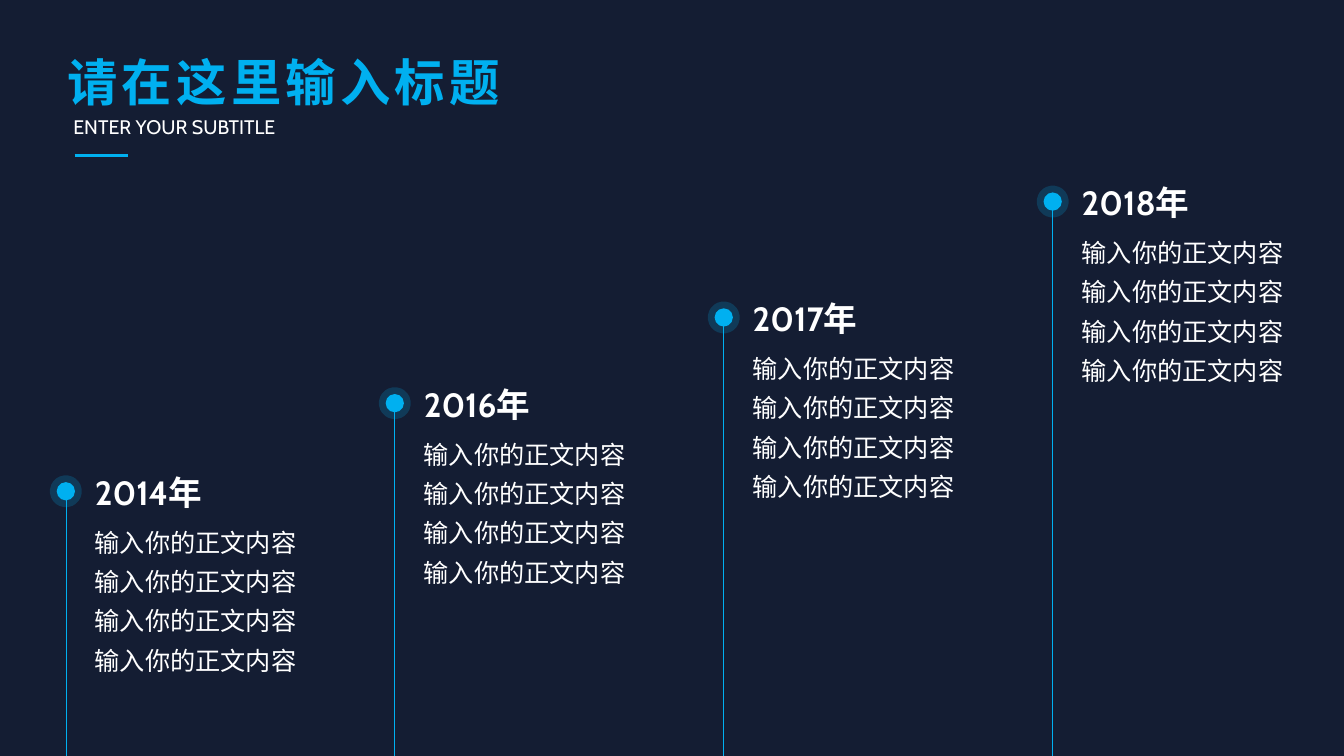
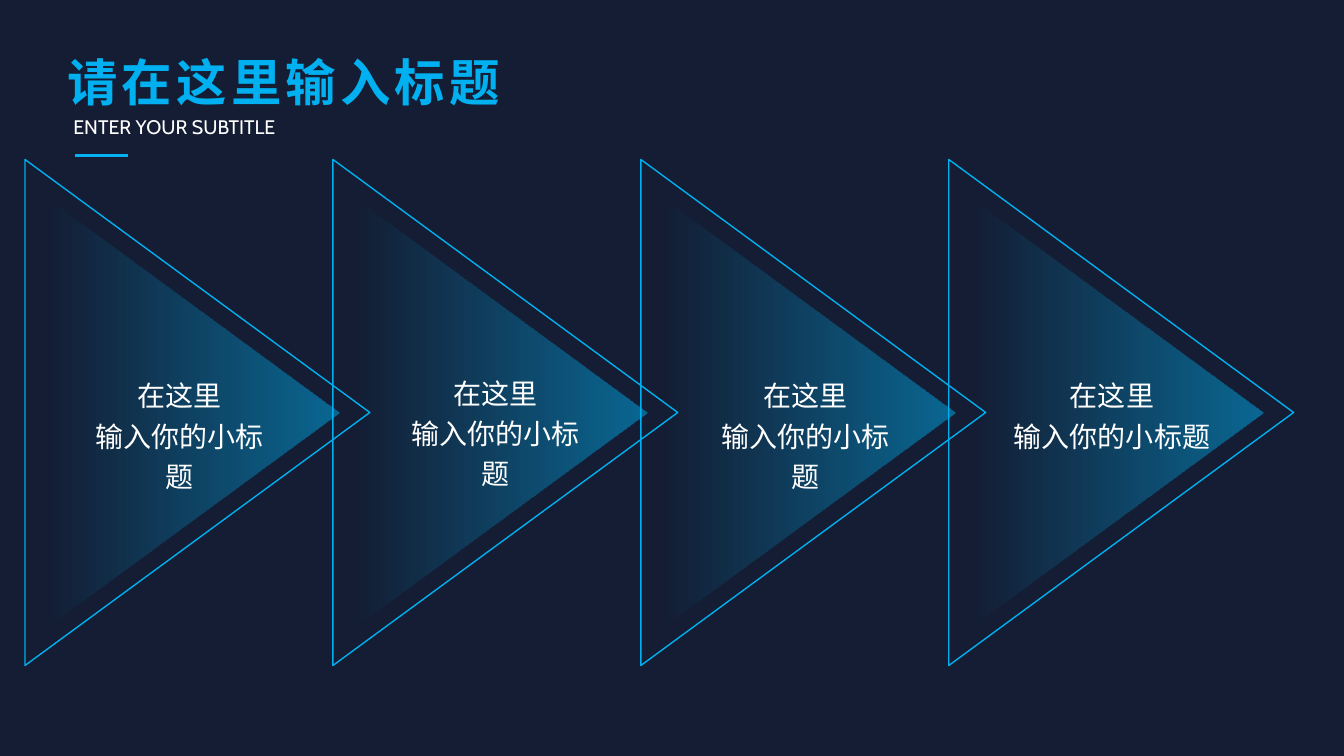
import pptx
import pptx.dml.color
import pptx.enum.shapes
import pptx.enum.text
import pptx.oxml.ns
import pptx.util
from lxml import etree

Cm = pptx.util.Cm
Pt = pptx.util.Pt
Shapes = pptx.enum.shapes.MSO_SHAPE
Align = pptx.enum.text.PP_ALIGN
Anchor = pptx.enum.text.MSO_ANCHOR
qn = pptx.oxml.ns.qn

NAVY, BLUE, WHITE = "141D33", "00B0F0", "FFFFFF"
HAN, LATIN = "Noto Sans CJK JP", "Cabin"

TITLE = "请在这里输入标题"
SUBTITLE = "ENTER YOUR SUBTITLE"
BODY = ["输入你的正文内容"] * 4
MILESTONES = [("2014年", 12.38), ("2016年", 10.16), ("2017年", 8), ("2018年", 5.08)]
LABEL = ["在这里", "输入你的小标题"]
LABEL_PLACES = [(1.83, 9.25, 5.41), (9.78, 9.19, 5.41), (17.6, 9.25, 5.41), (25.27, 9.25, 5.51)]

STYLES = {
    "title": {"font": {"name": HAN, "size": Pt(36), "bold": True}, "color": BLUE,
              "para": {"line_spacing": 0.9}, "anchor": Anchor.MIDDLE, "tracking": "300"},
    "subtitle": {"font": {"name": LATIN, "size": Pt(14)}, "para": {"alignment": Align.JUSTIFY}},
    "year": {"font": {"name": LATIN, "size": Pt(24), "bold": True}, "para": {}},
    "body": {"font": {"name": HAN, "size": Pt(18)}, "para": {"line_spacing": 1.3}},
    "label": {"font": {"name": HAN, "size": Pt(20)},
              "para": {"alignment": Align.CENTER, "line_spacing": 1.2}},
}

SLIDE_WIDTH, SLIDE_HEIGHT = 33.87, 19.05
AXIS_LEFT, AXIS_PITCH, DOT = 1.66, 8.29, 0.46
TRIANGLE_LEFT, TRIANGLE_TOP, TRIANGLE_PITCH = -1.4, 6.05, 7.76
TRIANGLE_SIZE = (12.75, 8.69)
FILL_SHIFT = -0.77


def color(value):
    return pptx.dml.color.RGBColor.from_string(value)


def set_attributes(target, values):
    for name, value in values.items():
        setattr(target, name, value)


def set_alpha(element, percent):
    tint = next(element.iter(qn("a:srgbClr")))
    etree.SubElement(tint, qn("a:alpha")).set("val", str(percent * 1000))


def add_text(page, lines, style_name, left, top, width, height):
    style = STYLES[style_name]
    frame = page.shapes.add_textbox(Cm(left), Cm(top), Cm(width), Cm(height)).text_frame
    set_attributes(frame, {
        "word_wrap": True,
        "auto_size": pptx.enum.text.MSO_AUTO_SIZE.SHAPE_TO_FIT_TEXT,
        "vertical_anchor": style.get("anchor", Anchor.TOP),
    })
    for index, line in enumerate(lines):
        para = frame.add_paragraph() if index else frame.paragraphs[0]
        set_attributes(para, style["para"])
        span = para.add_run()
        span.text = line
        set_attributes(span.font, style["font"])
        span.font.color.rgb = color(style.get("color", WHITE))
        properties = span.font._element
        etree.SubElement(properties, qn("a:ea")).set("typeface", HAN)
        if "tracking" in style:
            properties.set("spc", style["tracking"])


def add_line(page, start, end, weight):
    points = [Cm(value) for value in (*start, *end)]
    line = page.shapes.add_connector(pptx.enum.shapes.MSO_CONNECTOR.STRAIGHT, *points)
    line.line.color.rgb = color(BLUE)
    line.line.width = Pt(weight)
    etree.SubElement(line._element.spPr, qn("a:effectLst"))


def add_shape(page, kind, left, top, width, height):
    shape = page.shapes.add_shape(kind, Cm(left), Cm(top), Cm(width), Cm(height))
    shape.shadow.inherit = False
    return shape


def add_header(page):
    add_text(page, [TITLE], "title", 1.45, 1.32, 29.21, 1.65)
    add_text(page, [SUBTITLE], "subtitle", 1.6, 2.77, 6.38, 0.86)
    add_line(page, (1.88, 3.91), (3.23, 3.91), 2)


def add_milestone(page, x, y, year):
    add_line(page, (x, SLIDE_HEIGHT), (x, y), 0.5)
    dot = add_shape(page, Shapes.OVAL, x - DOT / 2, y - DOT / 2, DOT, DOT)
    dot.fill.solid()
    dot.fill.fore_color.rgb = color(BLUE)
    dot.line.color.rgb = color(BLUE)
    dot.line.width = Pt(10)
    set_alpha(dot.line._ln, 20)
    add_text(page, [year], "year", x + 0.48, y - 0.62, 3.96, 1.27)
    add_text(page, BODY, "body", x + 0.48, y + 0.55, 6.48, 4.17)


def add_triangle(page, left):
    triangle = add_shape(page, Shapes.ISOSCELES_TRIANGLE, left, TRIANGLE_TOP, *TRIANGLE_SIZE)
    triangle.rotation = 90
    return triangle


def add_arrow(page, left):
    outline = add_triangle(page, left)
    outline.fill.background()
    outline.line.color.rgb = color(BLUE)
    outline.line.width = Pt(1)
    glow = add_triangle(page, left + FILL_SHIFT)
    glow.line.fill.background()
    glow.fill.gradient()
    glow.fill.gradient_angle = 270
    for stop, (position, alpha) in zip(glow.fill.gradient_stops, [(0.01, 50), (0.84, 0)]):
        stop.position = position
        stop.color.rgb = color(BLUE)
        set_alpha(stop._gs, alpha)


def build_timeline(page):
    for index, (year, y) in enumerate(MILESTONES):
        add_milestone(page, AXIS_LEFT + index * AXIS_PITCH, y, year)


def build_arrows(page):
    for index in range(len(LABEL_PLACES)):
        add_arrow(page, TRIANGLE_LEFT + index * TRIANGLE_PITCH)
    for left, top, width in LABEL_PLACES:
        add_text(page, LABEL, "label", left, top, width, 2.26)


def main():
    deck = pptx.Presentation()
    set_attributes(deck, {"slide_width": Cm(SLIDE_WIDTH), "slide_height": Cm(SLIDE_HEIGHT)})
    backdrop = deck.slide_master.background.fill
    backdrop.solid()
    backdrop.fore_color.rgb = color(NAVY)
    for build in (build_timeline, build_arrows):
        page = deck.slides.add_slide(deck.slide_layouts[6])
        build(page)
        add_header(page)
    deck.save("out.pptx")


if __name__ == "__main__":
    main()
